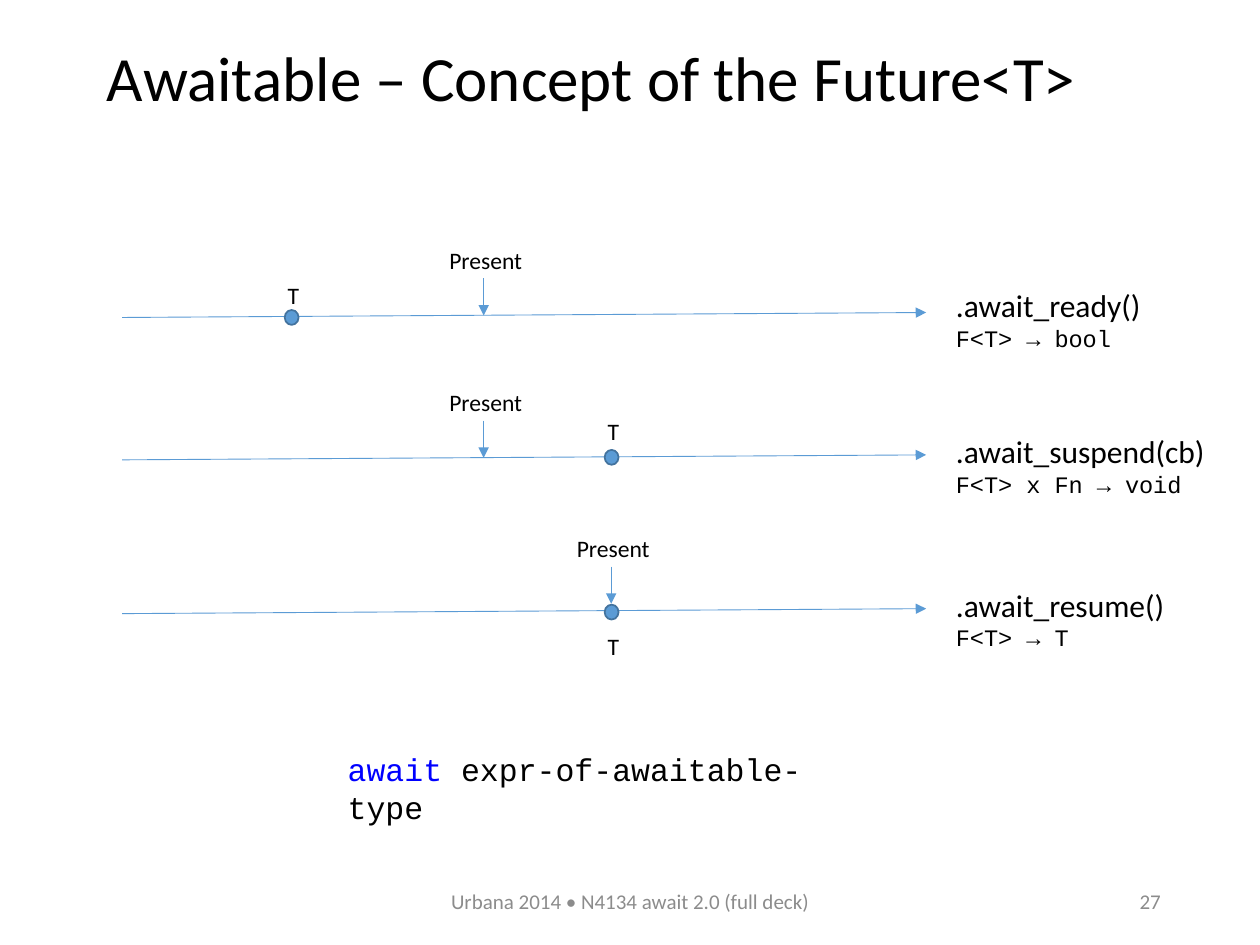
from lxml import etree
from pptx import Presentation
from pptx.dml.color import RGBColor
from pptx.enum.shapes import MSO_CONNECTOR, MSO_SHAPE
from pptx.enum.text import MSO_ANCHOR, PP_ALIGN
from pptx.oxml.ns import qn
from pptx.util import Cm, Pt

STRAIGHT = MSO_CONNECTOR.STRAIGHT
OVAL = MSO_SHAPE.OVAL
TOP, MIDDLE = MSO_ANCHOR.TOP, MSO_ANCHOR.MIDDLE
LEFT, CENTER, RIGHT = PP_ALIGN.LEFT, PP_ALIGN.CENTER, PP_ALIGN.RIGHT
BLACK = RGBColor(0x00, 0x00, 0x00)
GRAY = RGBColor(0x8C, 0x8C, 0x8C)
BLUE = RGBColor(0x5B, 0x9B, 0xD5)
DARK_BLUE = RGBColor(0x43, 0x73, 0x9E)
KEYWORD_BLUE = RGBColor(0x00, 0x00, 0xFF)
SANS, MONO = "Calibri", "Courier New"


def add_text(shapes, text, box, size, color=BLACK, font=SANS,
             align=LEFT, anchor=TOP, wrap=False):
    frame = shapes.add_textbox(*[Cm(v) for v in box]).text_frame
    frame.word_wrap = wrap
    frame.vertical_anchor = anchor
    paragraph = frame.paragraphs[0]
    paragraph.alignment = align
    paragraph.font.size = Pt(size)
    paragraph.font.name = font
    paragraph.font.color.rgb = color
    paragraph.add_run().text = text
    return paragraph


def add_arrow(shapes, x1, y1, x2, y2):
    arrow = shapes.add_connector(STRAIGHT, Cm(x1), Cm(y1), Cm(x2), Cm(y2))
    arrow.line.color.rgb = BLUE
    arrow.line.width = Pt(0.5)
    etree.SubElement(arrow.line._get_or_add_ln(), qn("a:tailEnd"), type="triangle")
    etree.SubElement(arrow._element.spPr, qn("a:effectLst"))


prs = Presentation()
prs.slide_width, prs.slide_height = Cm(25.4), Cm(19.05)
slide = prs.slides.add_slide(prs.slide_layouts[6])

title = add_text(slide.shapes, "Awaitable – Concept of the Future<T>",
                 (1.9, 0.69, 21.89, 1.88), 36, anchor=MIDDLE, wrap=True)
title.line_spacing = 0.9
add_text(slide.shapes, "Urbana 2014 • N4134 await 2.0 (full deck)",
         (8.41, 17.65, 8.59, 1.02), 12, GRAY, align=CENTER, anchor=MIDDLE, wrap=True)
add_text(slide.shapes, "27", (17.93, 17.65, 5.72, 1.02), 12, GRAY,
         align=RIGHT, anchor=MIDDLE, wrap=True)

signatures = [
    (".await_ready()", "F<T> → bool", 5.64, 4.27),
    (".await_suspend(cb)", "F<T> x Fn → void", 8.59, 5.59),
    (".await_resume()", "F<T> → T", 11.68, 4.78),
]
for member, signature, top, width in signatures:
    paragraph = add_text(slide.shapes, member, (19.02, top, width, 1.6), 18)
    paragraph.add_line_break()
    types = paragraph.add_run()
    types.text = signature
    types.font.size = Pt(13.5)
    types.font.name = MONO

DOT_W, DOT_H = 0.28, 0.3
timelines = [
    (6.4, 5.88, 6.4, 9.75, 5.61, 5.54),
    (9.27, 12.33, 9.22, 9.75, 8.48, 8.28),
    (12.37, 12.33, 12.34, 12.32, 11.42, 12.62),
]
for axis_y, value_x, value_y, present_x, present_y, value_label_y in timelines:
    timeline = slide.shapes.add_group_shape().shapes
    add_arrow(timeline, 2.46, axis_y, 18.67, axis_y - 0.1)
    value = timeline.add_shape(OVAL, Cm(value_x - DOT_W / 2), Cm(value_y - DOT_H / 2),
                               Cm(DOT_W), Cm(DOT_H))
    value.shadow.inherit = False
    value.fill.solid()
    value.fill.fore_color.rgb = BLUE
    value.line.color.rgb = DARK_BLUE
    value.line.width = Pt(1)
    add_arrow(timeline, present_x, present_y, present_x, present_y + 0.75)
    add_text(timeline, "Present", (present_x - 0.94, present_y - 0.78, 2.01, 0.84), 13.5)
    add_text(timeline, "T", (value_x - 0.33, value_label_y, 0.74, 0.84), 13.5)

expression = add_text(slide.shapes, "await", (6.76, 14.99, 10.36, 1.02), 18,
                      font=MONO, wrap=True)
expression.runs[0].font.color.rgb = KEYWORD_BLUE
expression.add_run().text = " expr-of-awaitable-type"

prs.save("out.pptx")
